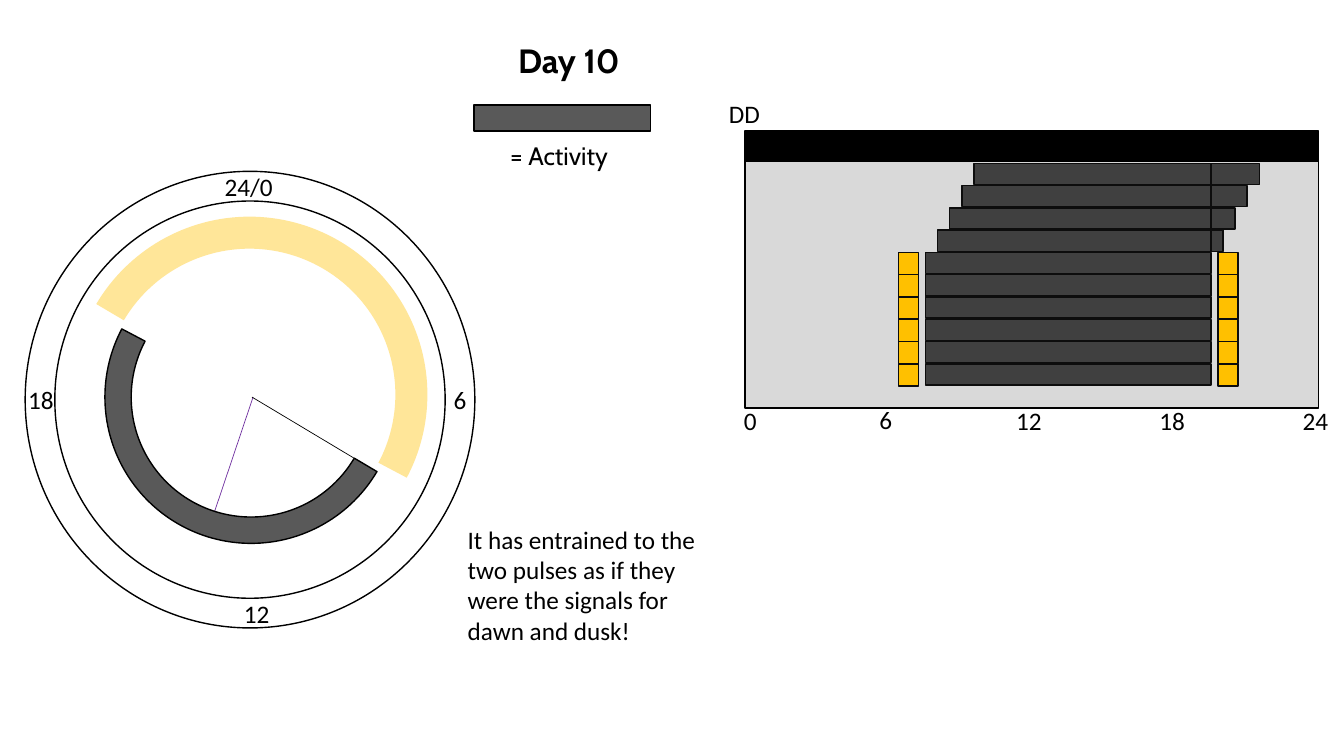
import dataclasses
import typing

import lxml.etree
import pptx
import pptx.dml.color
import pptx.enum.shapes
import pptx.enum.text
import pptx.oxml.ns
import pptx.util

COLORS = {
    "black": "000000",
    "white": "FFFFFF",
    "activity": "595959",
    "bar": "404040",
    "bar_edge": "0D0D0D",
    "darkness": "D9D9D9",
    "pulse": "FFC000",
    "day": "FFE699",
    "midpoint": "7030A0",
}
SHAPES = pptx.enum.shapes.MSO_SHAPE
ALIGN = pptx.enum.text.PP_ALIGN
DAYS = 10
FIRST_PULSE_DAY = 4
FIRST_DAY_TOP = 1.62
DAY_PITCH = (3.61 - FIRST_DAY_TOP) / (DAYS - 1)
DAILY_DRIFT = 0.12
ENTRAINED_START = 9.18
ENTRAINED_END = 12.01
PULSE_LEFTS = (8.91, 12.08)
HOUR_PITCH = 1.42 / 6


@dataclasses.dataclass
class Box:
    left: float
    top: float
    width: float
    height: float
    fill: str
    line: str | None = "black"
    kind: typing.Any = SHAPES.RECTANGLE
    adjustments: tuple[float, ...] = ()
    rotation: float = 0


@dataclasses.dataclass
class Label:
    text: str
    left: float
    top: float
    width: float
    height: float = 0.4
    font: str = "Calibri"
    size: int = 18
    bold: bool = False
    wrap: bool = True
    align: typing.Any = ALIGN.LEFT


@dataclasses.dataclass
class Ray:
    start: tuple[float, float]
    end: tuple[float, float]
    color: str


def rgb(name: str) -> pptx.dml.color.RGBColor:
    return pptx.dml.color.RGBColor.from_string(COLORS[name])


def apply_format(target: typing.Any, values: dict[str, typing.Any]) -> None:
    for name, value in values.items():
        setattr(target, name, value)


def draw_box(shapes: typing.Any, box: Box) -> None:
    edges = (box.left, box.top, box.width, box.height)
    shape = shapes.add_shape(box.kind, *map(pptx.util.Inches, edges))
    shape.shadow.inherit = False
    shape.rotation = box.rotation
    for index, adjustment in enumerate(box.adjustments):
        shape.adjustments[index] = adjustment
    shape.fill.solid()
    shape.fill.fore_color.rgb = rgb(box.fill)
    if box.line:
        shape.line.color.rgb = rgb(box.line)
        shape.line.width = pptx.util.Pt(1)
    else:
        shape.line.fill.background()


def draw_label(shapes: typing.Any, label: Label) -> None:
    edges = (label.left, label.top, label.width, label.height)
    shape = shapes.add_textbox(*map(pptx.util.Inches, edges))
    apply_format(shape.text_frame, {
        "word_wrap": label.wrap,
        "auto_size": pptx.enum.text.MSO_AUTO_SIZE.SHAPE_TO_FIT_TEXT,
    })
    paragraph = shape.text_frame.paragraphs[0]
    paragraph.alignment = label.align
    run = paragraph.add_run()
    run.text = label.text
    apply_format(run.font, {
        "name": label.font,
        "size": pptx.util.Pt(label.size),
        "bold": label.bold,
    })
    run.font.color.rgb = rgb("black")


def draw_ray(shapes: typing.Any, ray: Ray) -> None:
    points = map(pptx.util.Inches, ray.start + ray.end)
    connector = shapes.add_connector(pptx.enum.shapes.MSO_CONNECTOR.STRAIGHT, *points)
    connector.line.color.rgb = rgb(ray.color)
    connector.line.width = pptx.util.Pt(0.5)
    properties = connector._element.spPr
    lxml.etree.SubElement(properties, pptx.oxml.ns.qn("a:effectLst"))


def draw_legend(shapes: typing.Any) -> None:
    draw_box(shapes, Box(4.7, 1.04, 1.75, 0.26, "activity"))
    draw_label(shapes, Label("= Activity", 4.96, 1.34, 1.19, font="Cabin"))
    draw_label(shapes, Label("Day 10", 5.04, 0.35, 1.43, 0.5, "Cabin", 24, True))


def draw_clock(shapes: typing.Any) -> None:
    arc = (210.59 * 0.6, 27.86 * 0.6, 0.09)
    draw_box(shapes, Box(0.25, 1.7, 4.46, 4.53, "white",
                         kind=SHAPES.DONUT, adjustments=(0.066,)))
    for label in (
        Label("24/0", 2.13, 1.65, 0.68, wrap=False),
        Label("6", 4.4, 3.76, 0.33, wrap=False),
        Label("12", 2.32, 5.89, 0.46, wrap=False),
        Label("18", 0.18, 3.76, 0.46, wrap=False),
    ):
        draw_label(shapes, label)
    draw_ray(shapes, Ray((2.13, 5.07), (2.51, 3.94), "midpoint"))
    draw_ray(shapes, Ray((3.62, 4.61), (2.5, 3.94), "black"))
    draw_box(shapes, Box(1.04, 2.49, 2.9, 2.9, "activity", "black",
                         SHAPES.BLOCK_ARC, arc, 180))
    draw_box(shapes, Box(0.71, 2.15, 3.53, 3.53, "day", None, SHAPES.BLOCK_ARC, arc))


def draw_actogram(shapes: typing.Any) -> None:
    draw_box(shapes, Box(7.39, 1.59, 5.69, 2.46, "darkness"))
    draw_box(shapes, Box(7.39, 1.3, 5.69, 0.3, "black"))
    draw_label(shapes, Label("DD", 7.13, 0.93, 1.12))
    for day in range(DAYS):
        top = FIRST_DAY_TOP + day * DAY_PITCH
        drift = DAILY_DRIFT * max(FIRST_PULSE_DAY - day, 0)
        start = ENTRAINED_START + drift
        if drift:
            draw_box(shapes, Box(ENTRAINED_END, top, drift, 0.21, "bar", "bar_edge"))
        draw_box(shapes, Box(start, top, ENTRAINED_END - start, 0.21, "bar", "bar_edge"))
        if day >= FIRST_PULSE_DAY:
            for left in PULSE_LEFTS:
                draw_box(shapes, Box(left, top, 0.2, 0.22, "pulse", "bar_edge"))
    draw_label(shapes, Label("0", 7.28, 3.97, 0.39))
    for hour in range(6, 25, 6):
        left = 7.07 + hour * HOUR_PITCH
        top = 3.96 if hour == 6 else 3.97
        draw_label(shapes, Label(str(hour), left, top, 0.59, align=ALIGN.CENTER))


def main() -> None:
    presentation = pptx.Presentation()
    apply_format(presentation, {
        "slide_width": pptx.util.Inches(13.33),
        "slide_height": pptx.util.Inches(7.5),
    })
    slide = presentation.slides.add_slide(presentation.slide_layouts[6])
    draw_legend(slide.shapes)
    draw_clock(slide.shapes)
    draw_label(slide.shapes, Label(
        "It has entrained to the two pulses as if they were the signals for dawn and dusk!",
        4.54, 5.15, 2.59, 1.31))
    draw_actogram(slide.shapes.add_group_shape().shapes)
    presentation.save("out.pptx")


if __name__ == "__main__":
    main()
